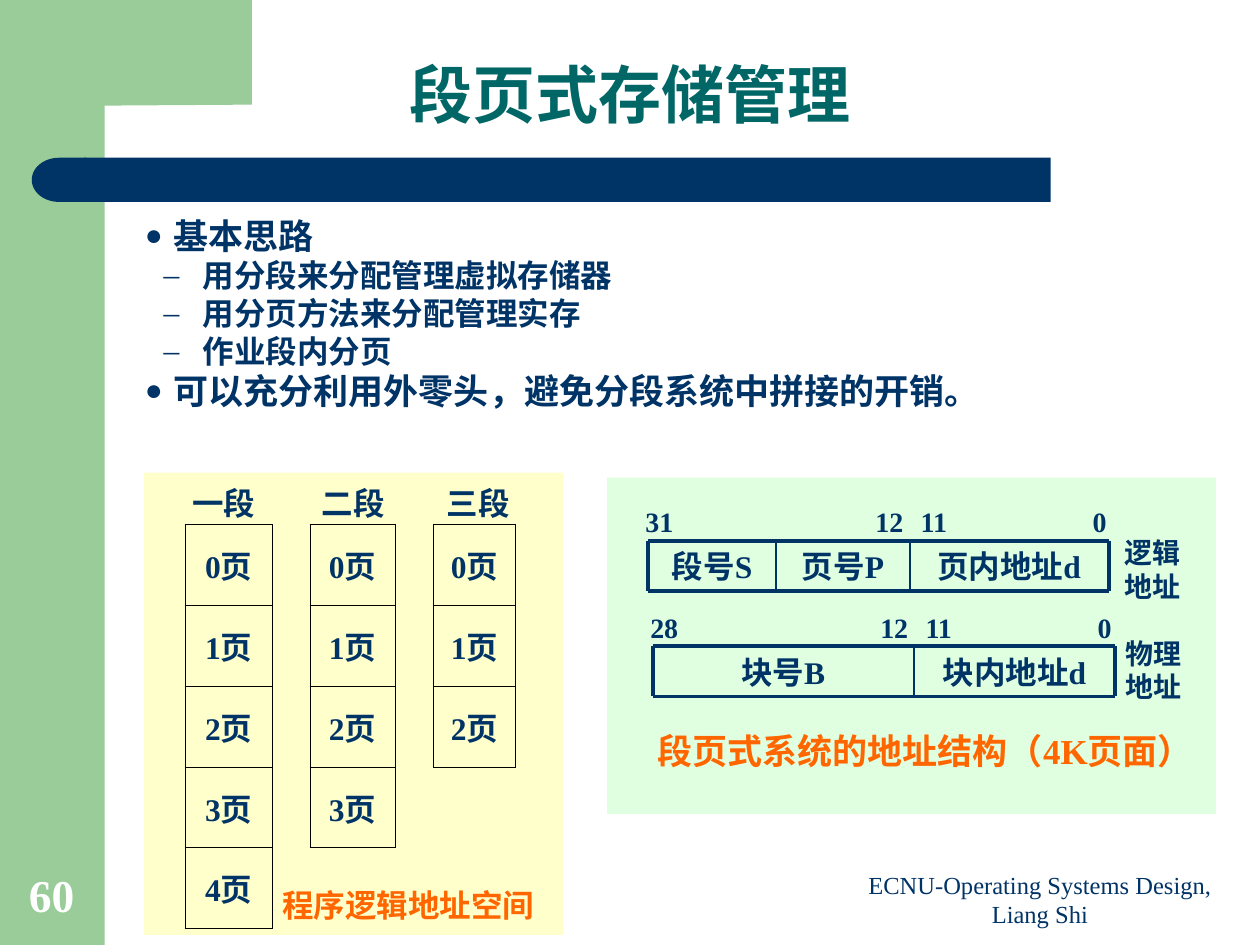
from itertools import accumulate
from lxml import etree
from pptx import Presentation
from pptx.dml.color import RGBColor
from pptx.enum.shapes import MSO_CONNECTOR, MSO_SHAPE
from pptx.enum.text import MSO_ANCHOR, PP_ALIGN
from pptx.oxml.ns import qn
from pptx.util import Cm, Pt

NAVY = RGBColor(0x00, 0x33, 0x66)
GREEN = RGBColor(0x99, 0xCC, 0x99)
TEAL = RGBColor(0x00, 0x66, 0x66)
MINT = RGBColor(0xCC, 0xFF, 0xCC)
CREAM = RGBColor(0xFF, 0xFF, 0xCC)
ORANGE = RGBColor(0xFF, 0x66, 0x00)
WHITE = RGBColor(0xFF, 0xFF, 0xFF)
HAN = "Noto Sans CJK SC"
ROMAN = "Times New Roman"


def node(parent, tag, **attrs):
    return etree.SubElement(parent, qn(tag), **attrs)


def add_run(para, text, size, color=NAVY, font=HAN, bold=True):
    run = para.add_run()
    run.text = text
    run.font.size = Pt(size)
    run.font.bold = bold
    run.font.name = font
    run.font.color.rgb = color
    node(run.font._element, "a:ea", typeface=HAN)


def add_box(slide, left, top, width, height, anchor=MSO_ANCHOR.TOP):
    """Add an empty text box and return its text frame."""
    box = slide.shapes.add_textbox(Cm(left), Cm(top), Cm(width), Cm(height))
    frame = box.text_frame
    frame.word_wrap = True
    frame.vertical_anchor = anchor
    return frame


def add_label(slide, place, lines, size, color=NAVY, font=HAN, bold=True,
              anchor=MSO_ANCHOR.TOP):
    """Add centred text, one paragraph for each line."""
    frame = add_box(slide, *place, anchor)
    for i, line in enumerate(lines):
        para = frame.add_paragraph() if i else frame.paragraphs[0]
        para.alignment = PP_ALIGN.CENTER
        add_run(para, line, size, color, font, bold)
    return frame


def paint(shape, color, alpha=None):
    shape.shadow.inherit = False
    shape.fill.solid()
    shape.fill.fore_color.rgb = color
    shape.line.fill.background()
    if alpha:
        tint = shape._element.spPr.find(".//" + qn("a:srgbClr"))
        node(tint, "a:alpha", val=str(alpha * 1000))


def add_panel(slide, place, color, kind=MSO_SHAPE.RECTANGLE, alpha=None):
    shape = slide.shapes.add_shape(kind, *(Cm(n) for n in place))
    paint(shape, color, alpha)
    return shape


def add_frame(slide):
    """Draw the side band, the corner and the title bar."""
    add_panel(slide, (0, 0, 2.11, 19.05), GREEN)
    pen = slide.shapes.build_freeform(Cm(1.27), 0)
    edge = [(5.08, 0), (5.08, 2.11), (2.11, 2.13), (1.96, 2.16), (1.8, 2.34),
            (1.73, 2.64), (1.7, 2.95), (1.7, 3.25), (1.27, 3.25)]
    pen.add_line_segments([(Cm(x), Cm(y)) for x, y in edge])
    paint(pen.convert_to_shape(), GREEN)
    bar = add_panel(slide, (1.7, 3.18, 19.48, 0.89), NAVY,
                    MSO_SHAPE.ROUNDED_RECTANGLE)
    bar.adjustments[0] = 0
    cap = add_panel(slide, (0.64, 3.18, 1.09, 0.89), NAVY,
                    MSO_SHAPE.FLOWCHART_DELAY)
    cap.rotation = 180


def add_points(slide, points):
    """Add the bulleted outline from (level, text) pairs."""
    frame = add_box(slide, 2.67, 4.19, 20.27, 5.03)
    styles = [("●", 0.58, 0.58, 20, "85000"), ("–", 1.17, 0.79, 18, "100000")]
    for i, (level, text) in enumerate(points):
        mark, left, hang, size, scale = styles[level]
        para = frame.add_paragraph() if i else frame.paragraphs[0]
        para.level = level
        props = para._p.get_or_add_pPr()
        props.set("marL", str(Cm(left)))
        props.set("indent", str(-Cm(hang)))
        node(node(props, "a:buClr"), "a:srgbClr", val=str(NAVY))
        node(props, "a:buSzPct", val=scale)
        node(props, "a:buFont", typeface=ROMAN)
        node(props, "a:buChar", char=mark)
        add_run(para, text, size)


def add_pages(slide, left, width, count):
    """Add one segment's column of numbered pages."""
    step = Cm(1.63)
    table = slide.shapes.add_table(count, 1, Cm(left), Cm(10.57), Cm(width),
                                   step * count).table
    table.first_row = table.horz_banding = False
    for i, row in enumerate(table.rows):
        row.height = step
        cell = row.cells[0]
        cell.margin_left = cell.margin_right = Cm(0.1)
        cell.vertical_anchor = MSO_ANCHOR.MIDDLE
        para = cell.text_frame.paragraphs[0]
        para.alignment = PP_ALIGN.CENTER
        add_run(para, f"{i}页", 18, font=ROMAN)
        props = cell._tc.get_or_add_tcPr()
        for side in ("a:lnL", "a:lnR", "a:lnT", "a:lnB"):
            line = node(props, side, w=str(Pt(0.45)))
            node(node(line, "a:solidFill"), "a:srgbClr", val="000000")
        cell.fill.background()


def add_line(slide, x1, y1, x2, y2, width):
    line = slide.shapes.add_connector(MSO_CONNECTOR.STRAIGHT, Cm(x1), Cm(y1),
                                      Cm(x2), Cm(y2))
    line.line.color.rgb = NAVY
    line.line.width = Pt(width)
    node(line._element.spPr, "a:effectLst")


def add_address(slide, left, top, bits, fields):
    """Draw an address word: bit numbers above a row of named fields."""
    frame = add_box(slide, left - 0.3, top - 0.85, 10.2, 0.94)
    para = frame.paragraphs[0]
    tabs = node(para._p.get_or_add_pPr(), "a:tabLst")
    for stop, side in ((5.2, "r"), (5.55, "l"), (9.3, "r")):
        node(tabs, "a:tab", pos=str(Cm(stop)), algn=side)
    add_run(para, "\t".join(bits), 16, font=ROMAN)

    height = 1.01
    edges = list(accumulate([width for _, width in fields], initial=left))
    for (name, width), x in zip(fields, edges):
        add_label(slide, (x, top, width, height), [name], 18, font=ROMAN,
                  anchor=MSO_ANCHOR.MIDDLE)
    for y in (top, top + height):
        add_line(slide, left, y, edges[-1], y, 2.25)
    for x in edges:
        thick = 2.25 if x in (left, edges[-1]) else 1
        add_line(slide, x, top, x, top + height, thick)


def main():
    deck = Presentation()
    deck.slide_width, deck.slide_height = Cm(25.4), Cm(19.05)
    slide = deck.slides.add_slide(deck.slide_layouts[6])
    add_frame(slide)
    add_panel(slide, (12.24, 9.63, 12.27, 6.78), MINT, alpha=60)
    add_panel(slide, (10.36, 16.94, 14.81, 1.9), WHITE)
    add_panel(slide, (2.9, 9.53, 8.46, 9.32), CREAM)

    title = add_label(slide, (0, 0.74, 25.4, 1.9), ["段页式存储管理"], 36, TEAL,
                      anchor=MSO_ANCHOR.BOTTOM)
    title.margin_top = title.margin_bottom = 0
    add_points(slide, [
        (0, "基本思路"),
        (1, "用分段来分配管理虚拟存储器"),
        (1, "用分页方法来分配管理实存"),
        (1, "作业段内分页"),
        (0, "可以充分利用外零头，避免分段系统中拼接的开销。"),
    ])

    segments = [("一段", 3.73, 1.76, 5, 3.38), ("二段", 6.25, 1.71, 4, 5.99),
                ("三段", 8.74, 1.65, 3, 8.51)]
    for name, left, width, count, head in segments:
        add_pages(slide, left, width, count)
        add_label(slide, (head, 9.63, 2.26, 1.02), [name], 18)
    add_label(slide, (5.18, 17.73, 6.1, 1.02), ["程序逻辑地址空间"], 18, ORANGE)

    add_address(slide, 13.06, 10.9, ("31", "12", "11", "0"),
                [("段号S", 2.59), ("页号P", 2.69), ("页内地址d", 4.01)])
    add_address(slide, 13.16, 13.03, ("28", "12", "11", "0"),
                [("块号B", 5.26), ("块内地址d", 4.06)])
    add_label(slide, (22.12, 10.67, 2.21, 1.63), ["逻辑", "地址"], 16)
    add_label(slide, (22.2, 12.7, 2.11, 1.63), ["物理", "地址"], 16)
    note = add_box(slide, 13, 14.58, 11.63, 1.12)
    note.word_wrap = False
    for text, font in (("段页式系统的地址结构（", HAN), ("4K", ROMAN),
                       ("页面）", HAN)):
        add_run(note.paragraphs[0], text, 20, ORANGE, font)

    add_label(slide, (16.94, 17.53, 8.05, 1.32),
              ["ECNU-Operating Systems Design, Liang Shi"], 14, font=ROMAN,
              bold=False, anchor=MSO_ANCHOR.BOTTOM)
    add_label(slide, (0, 17.35, 2.08, 1.35), ["60"], 26, WHITE, ROMAN,
              anchor=MSO_ANCHOR.BOTTOM)
    deck.save("out.pptx")


if __name__ == "__main__":
    main()
